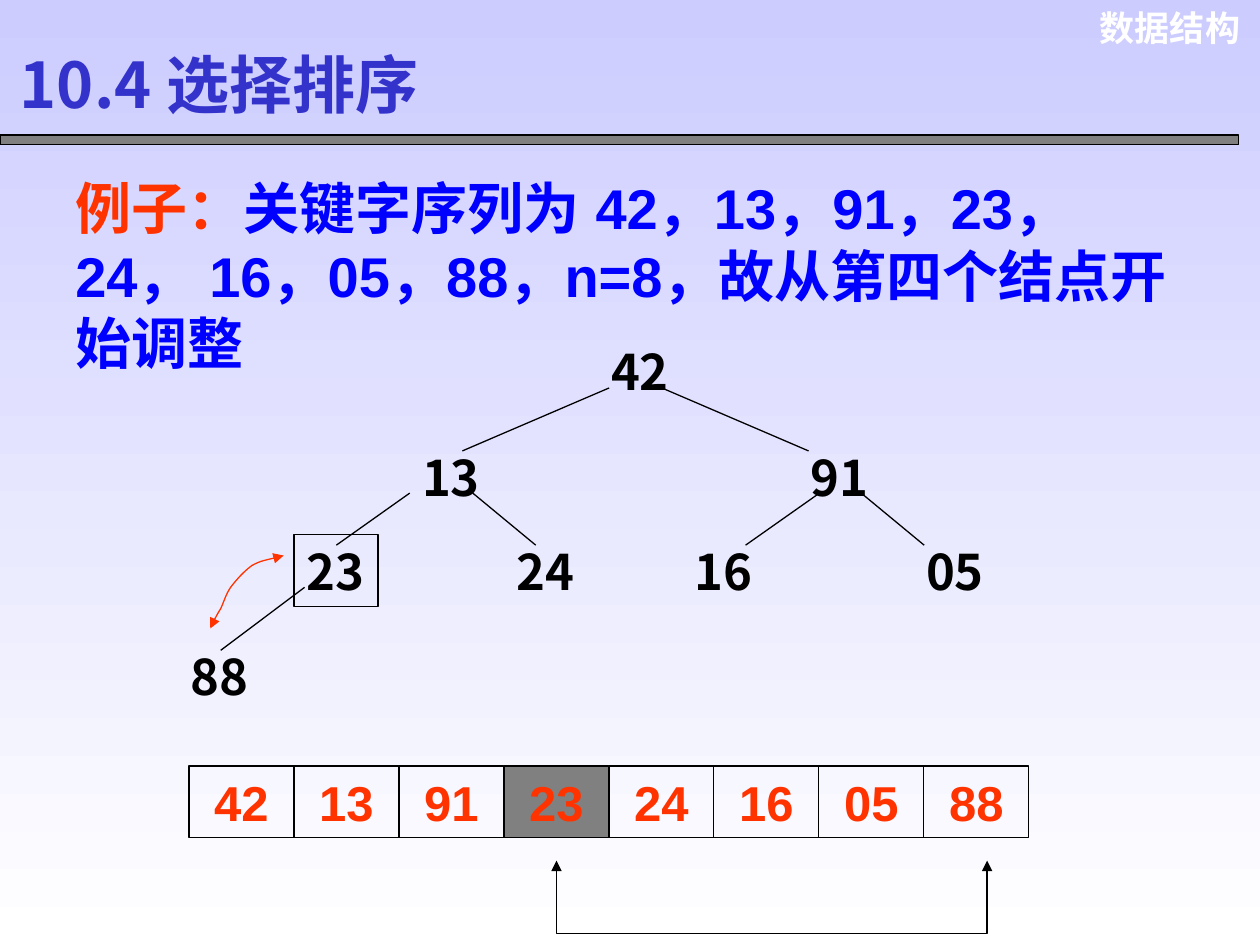
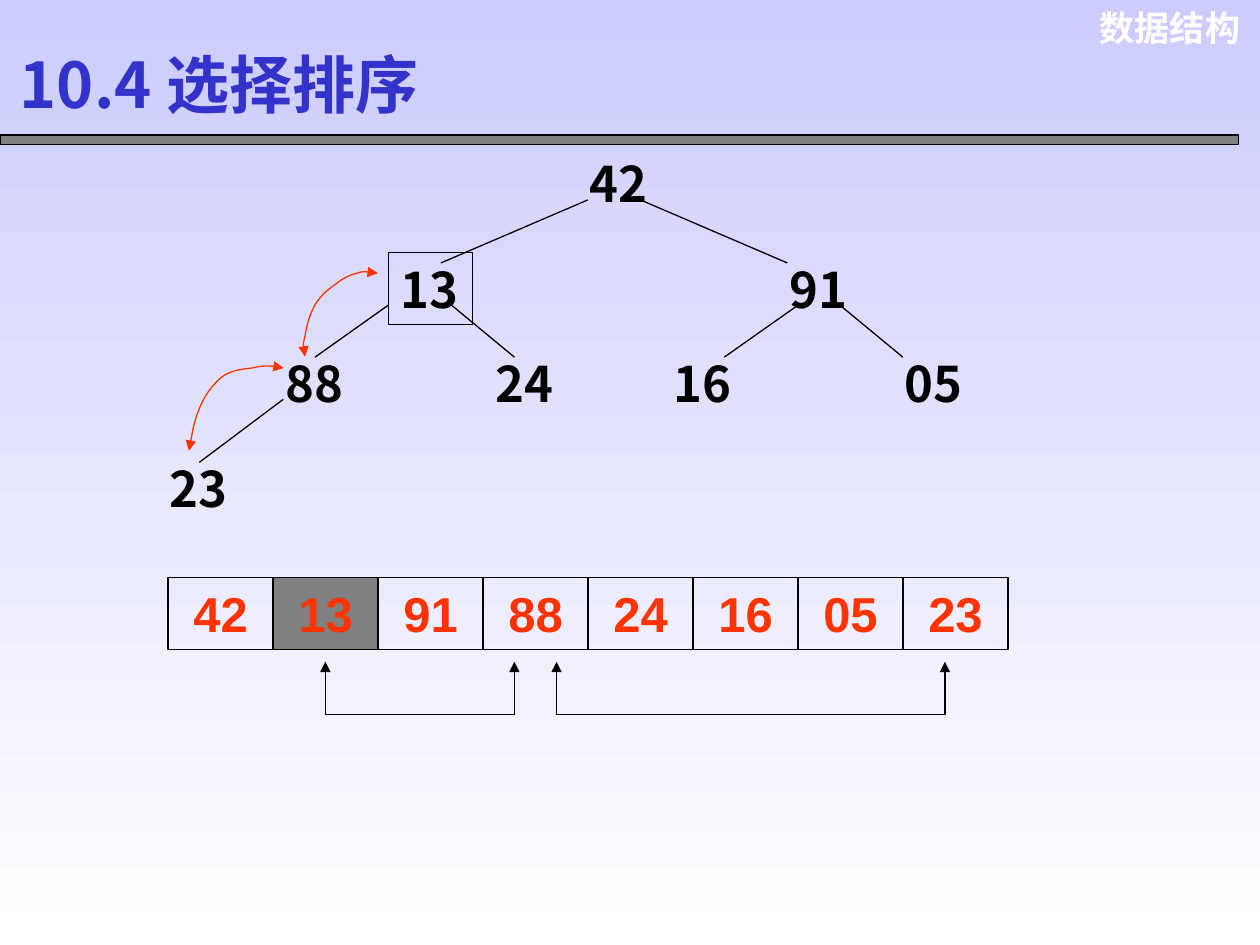
from lxml import etree
from pptx import Presentation
from pptx import util as u
from pptx.dml.color import RGBColor
from pptx.enum import shapes, text
from pptx.oxml import ns

INK, RED, BLUE, GREY = "000000", "FF3300", "0000FF", "808080"
INDIGO, LILAC, WHITE = "3333CC", "CCCCFF", "FFFFFF"
LATIN, HAN = "Arial", "Noto Sans CJK SC"

NODE_W, NODE_H = 1.69, 1.45
ROW_W, ROW_H = 16.93, 1.45
LEAVE_Y, ENTER_Y = 1.06, 0.21

# Heap positions: x and y from the root, parent, x where the edge leaves and enters
HEAP = [
    (0, 0, None, 0, 0),
    (-3.81, 2.12, 0, 0.21, 1.06),
    (4.02, 2.12, 0, 1.27, 0.21),
    (-6.14, 4.02, 1, 0, 0.85),
    (-1.9, 4.02, 1, 1.27, 0.63),
    (1.69, 4.02, 2, 0.43, 1.27),
    (6.35, 4.02, 2, 1.27, 0.21),
    (-8.47, 6.14, 3, 0.21, 0.85),
]


def rgb(value):
    return RGBColor.from_string(value)


def write(shape, words, size=28, color=INK, font=LATIN, align=text.PP_ALIGN.LEFT,
          anchor=text.MSO_ANCHOR.TOP):
    frame = shape.text_frame
    frame.word_wrap = True
    frame.vertical_anchor = anchor
    paragraph = frame.paragraphs[0]
    paragraph.alignment = align
    run = paragraph.add_run()
    run.text = words
    run.font.size = u.Pt(size)
    run.font.bold = True
    run.font.name = font
    run.font.color.rgb = rgb(color)
    etree.SubElement(run._r.get_or_add_rPr(), ns.qn("a:ea"), typeface=font)


class Deck:
    """Holds the lecture style and the slide being filled."""

    def __init__(self):
        self.show = Presentation()
        self.show.slide_width, self.show.slide_height = u.Cm(25.4), u.Cm(19.05)
        self.slide = None

    def start(self, heading):
        self.slide = self.show.slides.add_slide(self.show.slide_layouts[6])
        fill = self.slide.background.fill
        fill.gradient()
        fill.gradient_angle = 270
        for stop, color in zip(fill.gradient_stops, (LILAC, WHITE)):
            stop.color.rgb = rgb(color)
        write(self.area(21.77, 0, 3.48, 1.12), "数据结构", size=20, color=WHITE,
              align=text.PP_ALIGN.RIGHT)
        self.rect(0, 2.72, 24.97, 0.2, GREY)
        write(self.area(0.15, 0.74, 9.45, 1.9), heading, size=36, color=INDIGO,
              font=HAN, anchor=text.MSO_ANCHOR.MIDDLE)

    def area(self, *box):
        return self.slide.shapes.add_textbox(*map(u.Cm, box))

    def outline(self, shape, color=INK):
        shape.line.color.rgb = rgb(color)
        shape.line.width = u.Pt(0.75)

    def rect(self, x, y, w, h, color=None):
        box = self.slide.shapes.add_shape(
            shapes.MSO_SHAPE.RECTANGLE, *map(u.Cm, (x, y, w, h)))
        box.shadow.inherit = False
        if color:
            box.fill.solid()
            box.fill.fore_color.rgb = rgb(color)
        else:
            box.fill.background()
        self.outline(box)
        return box

    def edge(self, *ends):
        link = self.slide.shapes.add_connector(
            shapes.MSO_CONNECTOR.STRAIGHT, *map(u.Cm, ends))
        self.outline(link)
        etree.SubElement(link._element.spPr, ns.qn("a:effectLst"))

    def arrow(self, points, color=INK):
        (x, y), *rest = [(u.Cm(px), u.Cm(py)) for px, py in points]
        builder = self.slide.shapes.build_freeform(x, y)
        builder.add_line_segments(rest, close=False)
        path = builder.convert_to_shape()
        path.shadow.inherit = False
        path.fill.background()
        self.outline(path, color)
        for end in ("a:headEnd", "a:tailEnd"):
            etree.SubElement(path.line._get_or_add_ln(), ns.qn(end), type="triangle")
        return path

    def swap_curve(self, points):
        """Draw a red arrow through cubic segments, three points each."""
        path = self.arrow(points, RED)
        steps = list(path._element.iter(ns.qn("a:lnTo")))
        for first, second, third in zip(steps[::3], steps[1::3], steps[2::3]):
            first.tag = ns.qn("a:cubicBezTo")
            for step in (second, third):
                first.append(step[0])
                step.getparent().remove(step)

    def swap_bracket(self, left, right, top, bottom):
        self.arrow([(left, top), (left, bottom), (right, bottom), (right, top)])

    def tree(self, keys, x, y, active):
        for i, (key, (dx, dy, *_)) in enumerate(zip(keys, HEAP)):
            box = (x + dx, y + dy, NODE_W, NODE_H)
            node = self.rect(*box) if i == active else self.area(*box)
            write(node, key, font=HAN, anchor=text.MSO_ANCHOR.MIDDLE)
        for dx, dy, parent, leave, enter in HEAP[1:]:
            px, py = HEAP[parent][:2]
            self.edge(x + px + leave, y + py + LEAVE_Y, x + dx + enter, y + dy + ENTER_Y)

    def row(self, keys, x, y, active):
        pitch = ROW_W / len(keys)
        for i, key in enumerate(keys):
            cell = self.rect(x + i * pitch, y, pitch, ROW_H, GREY if i == active else None)
            write(cell, key, color=RED, align=text.PP_ALIGN.CENTER)


def main():
    deck = Deck()
    heading = "10.4 选择排序"

    deck.start(heading)
    example = deck.area(1.27, 3.38, 23.06, 4.32)
    write(example, "例子：", size=32, color=RED)
    write(example, "关键字序列为 42，13，91，23， 24， 16，05，88，n=8，故从第四个结点开始调整",
          size=32, color=BLUE)
    keys = "42 13 91 23 24 16 05 88".split()
    deck.tree(keys, 12.07, 6.76, active=3)
    deck.row(keys, 3.81, 15.44, active=3)
    deck.swap_bracket(11.22, 19.9, 17.35, 18.82)
    deck.swap_curve([
        (4.24, 12.67), (4.29, 12.55), (4.37, 12.4), (4.45, 12.27),
        (4.52, 12.12), (4.55, 11.99), (4.65, 11.84),
        (4.75, 11.71), (4.9, 11.53), (5.08, 11.4),
        (5.26, 11.3), (5.56, 11.25), (5.72, 11.2)])

    deck.start(heading)
    keys = "42 13 91 88 24 16 05 23".split()
    deck.tree(keys, 11.64, 2.97, active=1)
    deck.row(keys, 3.39, 11.64, active=1)
    for left, right in ((6.56, 10.37), (11.22, 19.05)):
        deck.swap_bracket(left, right, 13.34, 14.4)
    deck.swap_curve([
        (3.81, 9.09), (3.86, 8.81), (3.91, 8.51), (4.01, 8.26),
        (4.11, 8), (4.27, 7.77), (4.45, 7.62),
        (4.62, 7.47), (4.88, 7.44), (5.08, 7.42),
        (5.28, 7.37), (5.61, 7.37), (5.72, 7.42)])
    deck.swap_curve([
        (6.15, 7.19), (6.12, 7.06), (6.1, 6.96), (6.15, 6.78),
        (6.17, 6.6), (6.25, 6.32), (6.35, 6.15),
        (6.45, 5.97), (6.63, 5.82), (6.78, 5.72),
        (6.91, 5.61), (7.06, 5.54), (7.19, 5.51),
        (7.34, 5.46), (7.47, 5.49), (7.62, 5.51)])

    deck.show.save("out.pptx")


if __name__ == "__main__":
    main()
